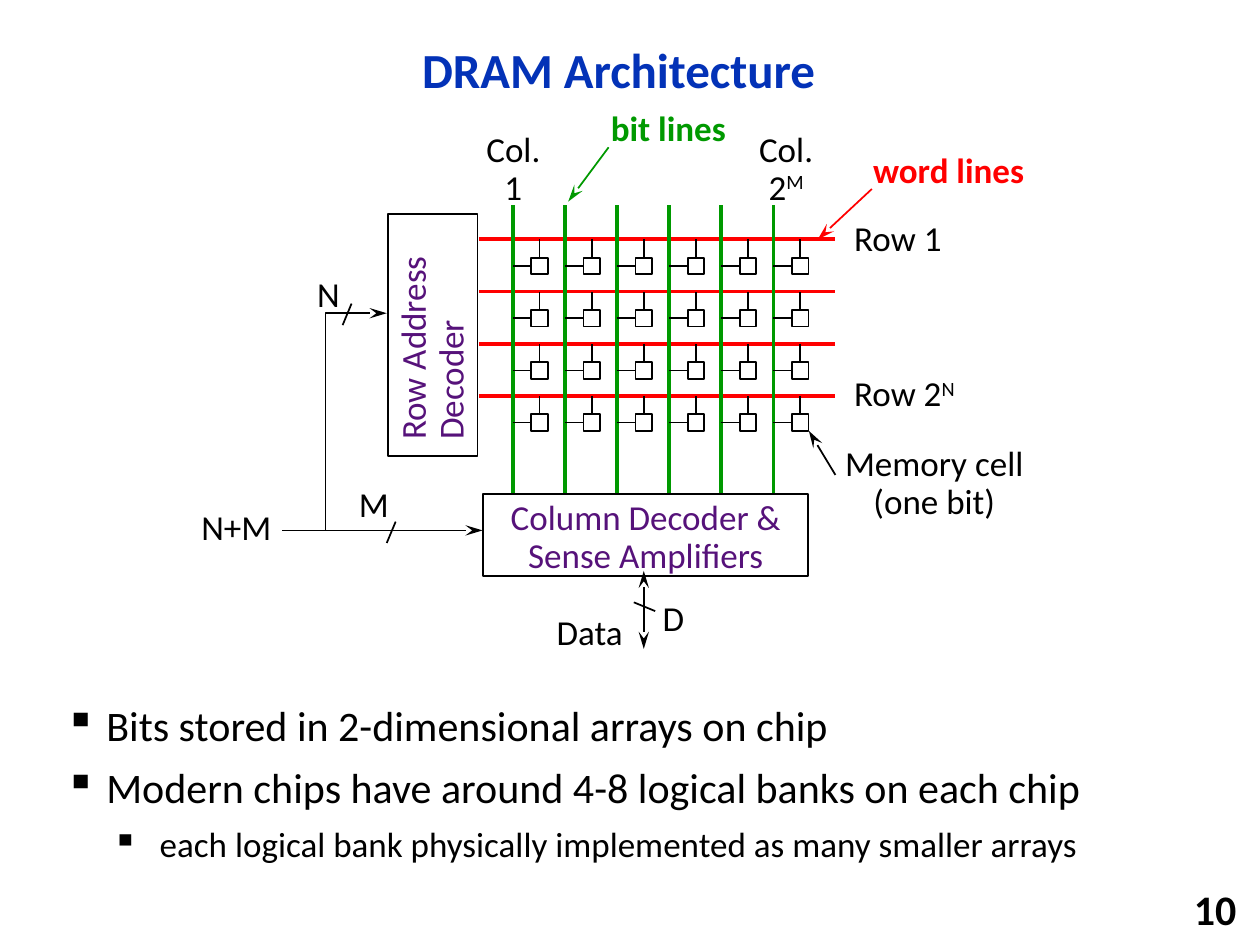
from typing import NamedTuple

from pptx import Presentation
from pptx import util as u
from pptx.dml import color
from pptx.enum import shapes, text
from pptx.oxml import xmlchemy as xc

FONT = "Calibri"
BLACK, WHITE, RED, GREEN = "000000", "FFFFFF", "FF0000", "009900"
BLUE, PURPLE = "0332B7", "56127A"
LEFT, CENTER, RIGHT = text.PP_ALIGN.LEFT, text.PP_ALIGN.CENTER, text.PP_ALIGN.RIGHT


class Label(NamedTuple):
    content: str
    x: float
    y: float
    w: float
    h: float = 29.5
    sup: str = ""
    color: str = BLACK
    bold: bool = False
    align: int = LEFT
    wrap: bool = False
    size: float = 20
    anchor: int = text.MSO_ANCHOR.TOP
    rotation: float = 0


class Line(NamedTuple):
    x1: float
    y1: float
    x2: float
    y2: float
    color: str = BLACK
    width: float = 1
    head: bool = False
    tail: bool = False


class Bullet(NamedTuple):
    content: str
    size: float
    margin: float
    indent: float
    before: float
    level: int = 0


def rgb(value: str) -> color.RGBColor:
    return color.RGBColor.from_string(value)


def add_child(parent, tag: str, **attrs: str):
    child = xc.OxmlElement(tag)
    for name, value in attrs.items():
        child.set(name, value)
    parent.append(child)
    return child


def add_arrows(sp, head: bool, tail: bool) -> None:
    ln = sp._element.spPr.get_or_add_ln()
    for tag, wanted in (("a:headEnd", head), ("a:tailEnd", tail)):
        if wanted:
            add_child(ln, tag, type="stealth", w="med", len="lg")


def set_font(font, size: float, hex_color: str, bold: bool = False) -> None:
    font.name, font.size, font.bold = FONT, u.Pt(size), bold
    font.color.rgb = rgb(hex_color)


def add_label(s, label: Label) -> None:
    sp = s.shapes.add_textbox(*map(u.Pt, (label.x, label.y, label.w, label.h)))
    sp.rotation = label.rotation
    tf = sp.text_frame
    tf.word_wrap, tf.vertical_anchor = label.wrap, label.anchor
    tf.text = label.content
    if label.sup:
        r = tf.paragraphs[-1].add_run()
        r.text = label.sup
        r.font._element.set("baseline", "30000")
    for p in tf.paragraphs:
        p.alignment, p.line_spacing = label.align, 0.9
        for r in p.runs:
            set_font(r.font, label.size, label.color, label.bold)


def add_line(s, line: Line) -> None:
    ends = map(u.Pt, (line.x1, line.y1, line.x2, line.y2))
    sp = s.shapes.add_connector(shapes.MSO_CONNECTOR.STRAIGHT, *ends)
    sp.line.color.rgb, sp.line.width = rgb(line.color), u.Pt(line.width)
    add_arrows(sp, line.head, line.tail)
    add_child(sp._element.spPr, "a:effectLst")


def add_box(s, x: float, y: float, w: float, h: float) -> None:
    sp = s.shapes.add_shape(shapes.MSO_SHAPE.RECTANGLE, *map(u.Pt, (x, y, w, h)))
    sp.shadow.inherit = False
    sp.fill.solid()
    sp.fill.fore_color.rgb = rgb(WHITE)
    sp.line.color.rgb, sp.line.width = rgb(BLACK), u.Pt(1)


def add_elbow(s, points: list[tuple[float, float]]) -> None:
    start, *rest = points
    builder = s.shapes.build_freeform(*start, scale=u.Pt(1))
    builder.add_line_segments(rest, close=False)
    sp = builder.convert_to_shape()
    sp.shadow.inherit = False
    sp.fill.background()
    sp.line.color.rgb, sp.line.width = rgb(BLACK), u.Pt(1)
    add_arrows(sp, False, True)


def add_array(s) -> None:
    pitch, gap, cell = 29.8, 10.6, 9.4
    middle = gap + cell / 2
    columns = [293 + pitch * i for i in range(6)]
    rows = [136.8 + pitch * i for i in range(4)]
    for y in rows:
        add_line(s, Line(273.6, y, 477.4, y, RED, 2.25))
    for x in columns:
        add_line(s, Line(x, 117.4, x, 285.8, GREEN, 2.25))
    for x in columns:
        for y in rows:
            add_box(s, x + gap, y + gap, cell, cell)
            add_line(s, Line(x + middle, y + gap, x + middle, y))
            add_line(s, Line(x + gap, y + middle, x, y + middle))


def add_bullets(s, bullets: list[Bullet]) -> None:
    sp = s.shapes.add_textbox(*map(u.Pt, (30.2, 401.8, 671, 100.8)))
    tf = sp.text_frame
    tf.word_wrap = True
    tf.text = "\n".join(b.content for b in bullets)
    for p, b in zip(tf.paragraphs, bullets):
        p.level, p.line_spacing, p.space_before = b.level, 0.8, u.Pt(b.before)
        pPr = p._p.get_or_add_pPr()
        pPr.set("marL", str(u.Pt(b.margin)))
        pPr.set("indent", str(u.Pt(b.indent)))
        add_child(pPr, "a:buChar", char="▪")
        for r in p.runs:
            set_font(r.font, b.size, BLACK)


LABELS = [
    Label("Row Address Decoder", 177.8, 162.7, 140.4, 51.1, color=PURPLE, wrap=True, rotation=270),
    Label("Col.\n1", 264.2, 72, 58.3, 51.1, align=CENTER, wrap=True),
    Label("Col.\v2", 426.2, 72, 46.1, 51.1, sup="M", align=CENTER),
    Label("Row 1", 481, 123.1, 65.5),
    Label("Row 2", 481, 211.7, 74.2, sup="N"),
    Label("Column Decoder & Sense Amplifiers", 270, 282.2, 198, 51.1,
          color=PURPLE, align=CENTER, wrap=True),
    Label("M", 198, 275, 31.7),
    Label("N", 174.2, 154.8, 27.4),
    Label("N+M", 108, 288, 54.7),
    Label("bit lines", 342, 59.8, 81.4, color=GREEN, bold=True),
    Label("word lines", 491.8, 84.2, 102.2, color=RED, bold=True),
    Label("Memory cell\v(one bit)", 470.2, 251.3, 127.4, 51.1, align=CENTER, wrap=True),
    Label("D", 371.5, 339.8, 27.4),
    Label("Data", 311, 347.8, 53.3),
]

LINES = [
    Line(161.3, 303.1, 275.8, 303.1, tail=True),        # column address
    Line(226.1, 298.1, 221, 310.3),                     # bus-width slashes
    Line(200.9, 173.5, 195.8, 185.8),
    Line(374.4, 349.2, 362.2, 344.2),
    Line(347.8, 84.2, 324.7, 115.2, GREEN, tail=True),  # callouts
    Line(498.2, 108, 467.3, 136.8, RED, tail=True),
    Line(477.4, 271.4, 462.2, 246.2, tail=True),
    Line(367.9, 326.2, 367.9, 370.8, head=True, tail=True),  # data
]

BULLETS = [
    Bullet("Bits stored in 2-dimensional arrays on chip", 24, 23.5, -23.5, 0),
    Bullet("Modern chips have around 4-8 logical banks on each chip", 24, 23.5, -23.5, 12.5),
    Bullet("each logical bank physically implemented as many smaller arrays", 20, 54, -27, 11, 1),
]


def main() -> None:
    prs = Presentation()
    prs.slide_width, prs.slide_height = u.Pt(720), u.Pt(540)
    s = prs.slides.add_slide(prs.slide_layouts[6])

    # Title and slide number
    middle = text.MSO_ANCHOR.MIDDLE
    add_label(s, Label("DRAM Architecture", 66.2, 12.2, 574.6, 58.3, color=BLUE, bold=True,
                       align=CENTER, wrap=True, size=28, anchor=middle))
    add_label(s, Label("10", 563.8, 509.8, 149.8, 23, bold=True, align=RIGHT, wrap=True,
                       size=24, anchor=middle))

    # Decoders and memory array
    add_box(s, 221.8, 122.4, 51.1, 138.2)
    add_array(s)
    add_box(s, 275.8, 282.2, 185.8, 46.8)

    # Address and data paths, callouts and labels
    add_elbow(s, [(185.8, 303.1), (185.8, 179.3), (221, 179.3)])
    for line in LINES:
        add_line(s, line)
    for label in LABELS:
        add_label(s, label)

    # Summary
    add_bullets(s, BULLETS)
    prs.save("out.pptx")


if __name__ == "__main__":
    main()
